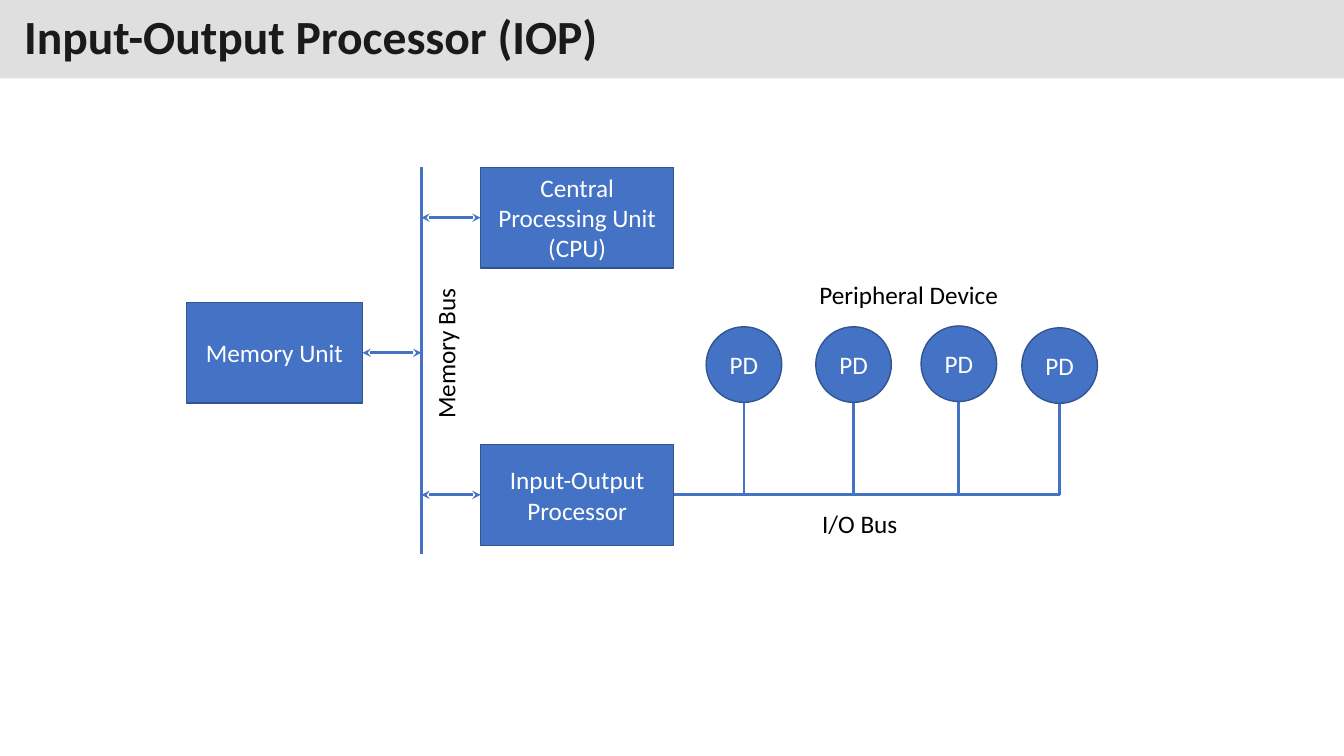
from lxml.etree import SubElement
from pptx import Presentation
from pptx.dml.color import RGBColor
from pptx.enum.shapes import MSO_CONNECTOR as Connector, MSO_SHAPE as Shape
from pptx.enum.text import MSO_ANCHOR as Anchor, PP_ALIGN as Align
from pptx.oxml.ns import qn
from pptx.util import Pt

BLUE, EDGE, WHITE, BLACK = "4472C4", "325491", "FFFFFF", "000000"
BAR_GREY, TITLE_INK = "C0C0C0", "1A1A1A"


def color(hex_string):
    return RGBColor.from_string(hex_string)


def set_text(frame, text, size, ink, align, bold=False):
    frame.text = text
    paragraph = frame.paragraphs[0]
    paragraph.alignment = align
    font = paragraph.font
    font.name, font.size, font.bold = "Calibri", Pt(size), bold
    font.color.rgb = color(ink)
    return paragraph


def add_node(slide, kind, text, left, top, width, height):
    """Add a blue block or circle with a centred caption."""
    node = slide.shapes.add_shape(kind, Pt(left), Pt(top), Pt(width), Pt(height))
    node.shadow.inherit = False
    node.fill.solid()
    node.fill.fore_color.rgb = color(BLUE)
    node.line.color.rgb = color(EDGE)
    node.line.width = Pt(1)
    node.text_frame.word_wrap = True
    node.text_frame.vertical_anchor = Anchor.MIDDLE
    set_text(node.text_frame, text, 18, WHITE, Align.CENTER)


def add_wire(slide, x1, y1, x2, y2, arrows=False):
    wire = slide.shapes.add_connector(Connector.STRAIGHT, Pt(x1), Pt(y1), Pt(x2), Pt(y2))
    wire.line.color.rgb = color(BLUE)
    wire.line.width = Pt(2)
    if arrows:
        for end in ("a:headEnd", "a:tailEnd"):
            SubElement(wire.line._ln, qn(end), type="stealth")
    SubElement(wire._element.spPr, qn("a:effectLst"))


def add_label(slide, text, left, top, width, height=29, rotation=0):
    label = slide.shapes.add_textbox(Pt(left), Pt(top), Pt(width), Pt(height))
    label.rotation = rotation
    label.text_frame.word_wrap = False
    set_text(label.text_frame, text, 18, BLACK, Align.LEFT)


def title_bar(slide, left, top, width, height):
    bar = slide.shapes.add_shape(Shape.RECTANGLE, Pt(left), Pt(top), Pt(width), Pt(height))
    bar.shadow.inherit = False
    bar.fill.solid()
    bar.fill.fore_color.rgb = color(BAR_GREY)
    grey = bar._element.spPr.find(qn("a:solidFill"))[0]
    SubElement(grey, qn("a:alpha"), val="50000")
    bar.line.fill.background()
    frame = bar.text_frame
    frame.word_wrap = True
    frame.vertical_anchor = Anchor.MIDDLE
    frame.margin_left = frame.margin_right = Pt(17.28)
    frame.margin_top = frame.margin_bottom = Pt(8.64)
    title = set_text(frame, "Input-Output Processor (IOP)", 34, TITLE_INK, Align.LEFT, bold=True)
    title.line_spacing = 0.9


def memory_bus_system(slide, left, top, width, height):
    """Draw the memory and the processors on either side of the memory bus."""
    block_height, memory_width, processor_width = 72, 126, 138
    bus_x = left + 168
    processor_left = left + width - processor_width
    memory_top = top + 96.5

    add_node(slide, Shape.RECTANGLE, "Memory Unit", left, memory_top, memory_width, block_height)
    add_wire(slide, bus_x, top, bus_x, top + height)
    memory_y = memory_top + block_height / 2
    add_wire(slide, left + memory_width, memory_y, bus_x, memory_y, arrows=True)

    processors = [("Central Processing Unit (CPU)", top), ("Input-Output Processor", top + 198)]
    for name, block_top in processors:
        add_node(slide, Shape.RECTANGLE, name,
                 processor_left, block_top, processor_width, block_height)
        middle = block_top + block_height / 2
        add_wire(slide, bus_x, middle, processor_left, middle, arrows=True)

    add_label(slide, "Memory Bus", left + 131, top + 118, 108.5, rotation=270)


def peripherals(slide, left, top, width, height):
    """Draw the devices above the I/O bus, which runs along the bottom of the box."""
    diameter = 54
    bus_y = top + height
    add_wire(slide, left, bus_y, left + width, bus_y)
    device_places = [(50.2, 37.6), (128.5, 37.6), (203.7, 37), (275.7, 38.3)]
    for center, drop in device_places:
        x, device_top = left + center, top + drop
        add_wire(slide, x, device_top + diameter, x, bus_y)
        add_node(slide, Shape.OVAL, "PD", x - diameter / 2, device_top, diameter, diameter)
    add_label(slide, "Peripheral Device", left + 97, top, 144)
    add_label(slide, "I/O Bus", left + 99, bus_y + 6, 69)


def main():
    deck = Presentation()
    deck.slide_width, deck.slide_height = Pt(960), Pt(540)
    slide = deck.slides.add_slide(deck.slide_layouts[6])
    title_bar(slide, 0, 0, 960, 56)
    memory_bus_system(slide, 133, 119.5, 348.3, 276.5)
    peripherals(slide, 481.2, 195.8, 276.2, 157.7)
    deck.save("out.pptx")


if __name__ == "__main__":
    main()
